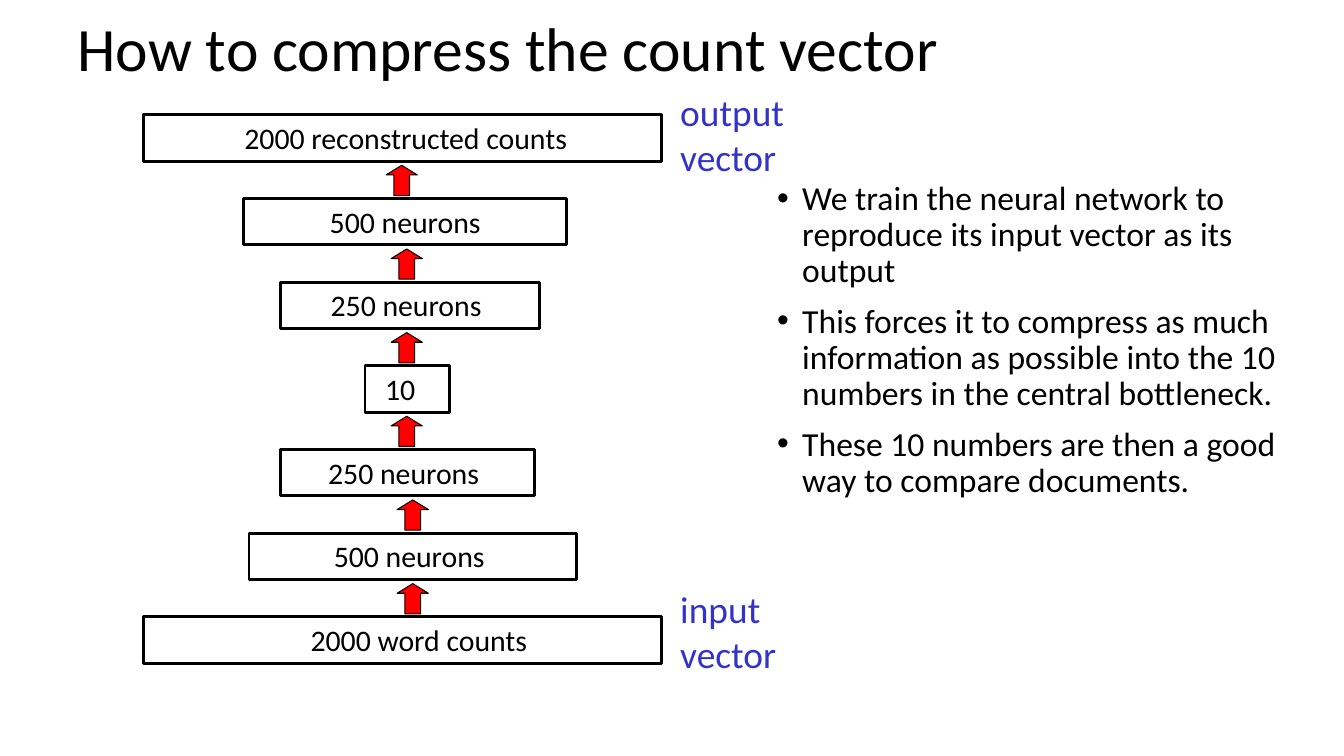
import dataclasses

import pptx
import pptx.dml.color
import pptx.enum.shapes
import pptx.enum.text
import pptx.util
from lxml import etree


@dataclasses.dataclass(frozen=True)
class Theme:
    font: str = "Calibri"
    ink: str = "000000"
    label: str = "3333CC"
    arrow: str = "FF0000"
    background: str = "FFFFFF"
    title_size: float = 44
    body_size: float = 24
    layer_size: float = 21.3
    label_size: float = 26.7
    layer_line: float = 2
    arrow_line: float = 0.75


THEME = Theme()
WIDTH, HEIGHT = pptx.util.Inches(13.33), pptx.util.Inches(7.5)
COLUMNS, ROWS = 160, 90
FIRST_LAYER, LAYER_PITCH, LAYER_HEIGHT = 13.68, 9.96, 5.52
ARROW_OFFSET, ARROW_WIDTH, ARROW_HEIGHT = 6, 3.72, 3.6
INSET = 0.1

LAYERS = [
    ("2000 reconstructed counts", 17.04, 61.68, 0.07),
    ("500 neurons", 29.04, 38.4, 0),
    ("250 neurons", 33.36, 30.84, -0.07),
    ("10", 43.44, 10.08, -0.14),
    ("250 neurons", 33.36, 30.24, -0.07),
    ("500 neurons", 29.64, 39, -0.07),
    ("2000 word counts", 17.04, 61.68, 0.33),
]
ARROW_COLUMNS = [45.96, 46.56, 46.56, 46.56, 47.28, 47.28]
VECTOR_LABELS = [("output vector", 10.08), ("input vector", 69.24)]
POINTS = [
    "We train the neural network to reproduce its input vector as its output",
    "This forces it to compress as much information as possible into the 10 "
    "numbers in the central bottleneck.",
    "These 10 numbers are then a good way to compare documents.",
]


def color(value):
    return pptx.dml.color.RGBColor.from_string(value)


def grid(column, row, columns, rows):
    return (
        round(WIDTH * column / COLUMNS),
        round(HEIGHT * row / ROWS),
        round(WIDTH * columns / COLUMNS),
        round(HEIGHT * rows / ROWS),
    )


def add_bullet(paragraph):
    indent = pptx.util.Inches(0.25)
    properties = paragraph._p.get_or_add_pPr()
    properties.set("marL", str(indent))
    properties.set("indent", str(-indent))
    namespace = pptx.oxml.ns.qn("a:buFont"), pptx.oxml.ns.qn("a:buChar")
    etree.SubElement(properties, namespace[0]).set("typeface", "Arial")
    etree.SubElement(properties, namespace[1]).set("char", "•")


def write(holder, text, *, size, ink=THEME.ink, align="LEFT", anchor="TOP",
          spacing=1, gap=0, bullet=False, nudge=0):
    frame = holder.text_frame
    frame.word_wrap = True
    frame.vertical_anchor = pptx.enum.text.MSO_ANCHOR[anchor]
    frame.margin_left = pptx.util.Inches(INSET + max(nudge, 0))
    frame.margin_right = pptx.util.Inches(INSET + max(-nudge, 0))
    for index, line in enumerate(text.split("\n")):
        paragraph = frame.add_paragraph() if index else frame.paragraphs[0]
        paragraph.text = line
        paragraph.alignment = pptx.enum.text.PP_ALIGN[align]
        paragraph.line_spacing = spacing
        paragraph.space_before = pptx.util.Pt(gap if index else 0)
        if bullet:
            add_bullet(paragraph)
        paragraph.font.name = THEME.font
        paragraph.font.size = pptx.util.Pt(size)
        paragraph.font.color.rgb = color(ink)


def add_text(slide, area, text, **style):
    write(slide.shapes.add_textbox(*area), text, **style)


def add_outlined(slide, kind, area, line):
    shape = slide.shapes.add_shape(kind, *area)
    shape.shadow.inherit = False
    shape.line.color.rgb = color(THEME.ink)
    shape.line.width = pptx.util.Pt(line)
    return shape


def add_layer(slide, row, text, column, columns, nudge):
    layer = add_outlined(slide, pptx.enum.shapes.MSO_SHAPE.RECTANGLE,
                         grid(column, row, columns, LAYER_HEIGHT), THEME.layer_line)
    layer.fill.background()
    write(layer, text, size=THEME.layer_size, align="CENTER", nudge=nudge)


def add_arrow(slide, row, column):
    arrow = add_outlined(slide, pptx.enum.shapes.MSO_SHAPE.UP_ARROW,
                         grid(column, row, ARROW_WIDTH, ARROW_HEIGHT), THEME.arrow_line)
    arrow.adjustments[0] = 0.5
    arrow.adjustments[1] = 0.32
    arrow.fill.solid()
    arrow.fill.fore_color.rgb = color(THEME.arrow)


def main():
    presentation = pptx.Presentation()
    presentation.slide_width, presentation.slide_height = WIDTH, HEIGHT
    slide = presentation.slides.add_slide(presentation.slide_layouts[6])
    slide.background.fill.solid()
    slide.background.fill.fore_color.rgb = color(THEME.background)

    add_text(slide, grid(8.04, -1.32, 144, 15), "How to compress the count vector",
             size=THEME.title_size, anchor="MIDDLE", spacing=0.9)
    add_text(slide, grid(91.32, 21, 68.28, 59.4), "\n".join(POINTS),
             size=THEME.body_size, spacing=0.9, gap=10, bullet=True)
    for index, layer in enumerate(LAYERS):
        add_layer(slide, FIRST_LAYER + index * LAYER_PITCH, *layer)
    for index, column in enumerate(ARROW_COLUMNS):
        add_arrow(slide, FIRST_LAYER + index * LAYER_PITCH + ARROW_OFFSET, column)
    for text, row in VECTOR_LABELS:
        add_text(slide, grid(79.8, row, 20.16, 12), text,
                 size=THEME.label_size, ink=THEME.label)

    presentation.save("out.pptx")


if __name__ == "__main__":
    main()
